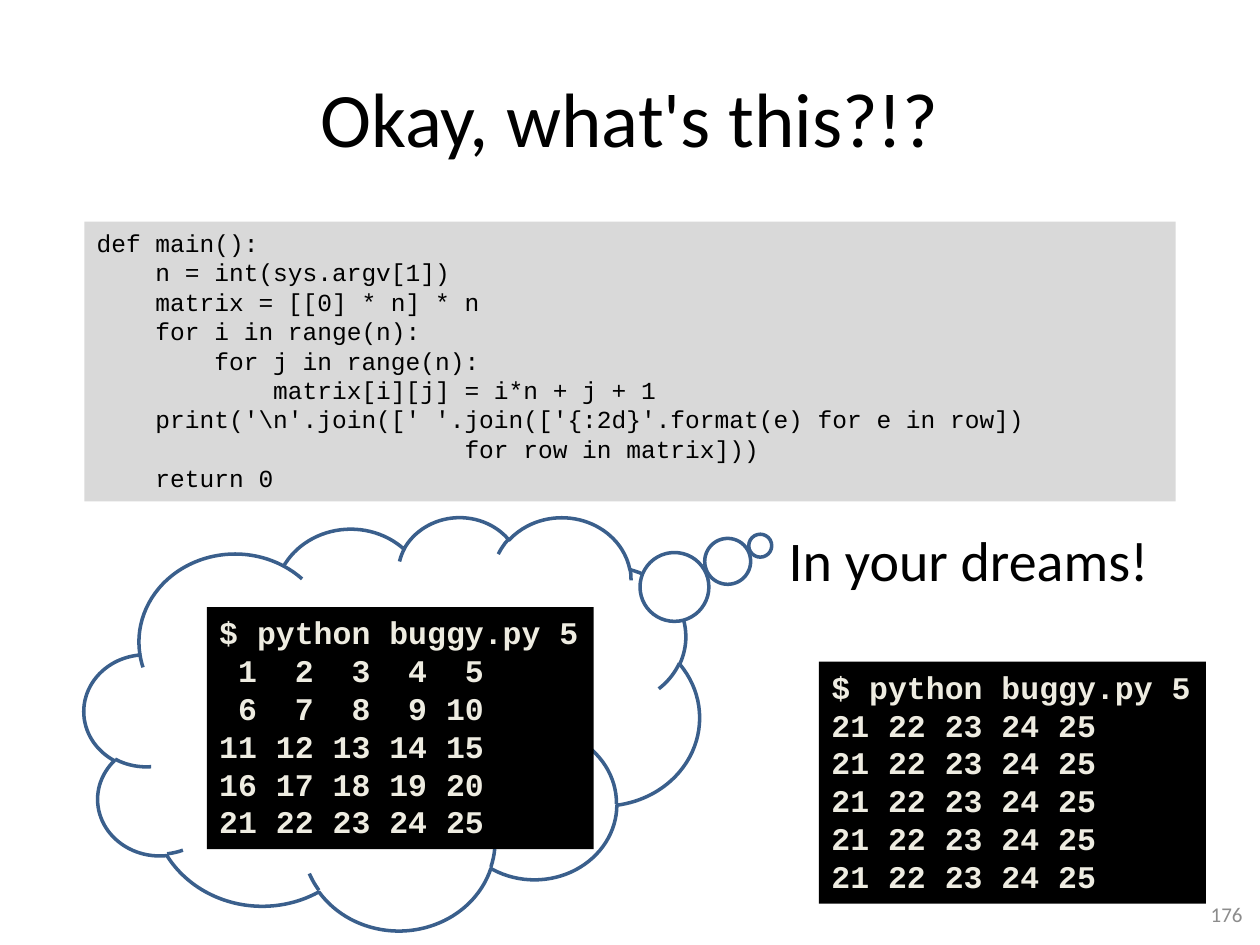
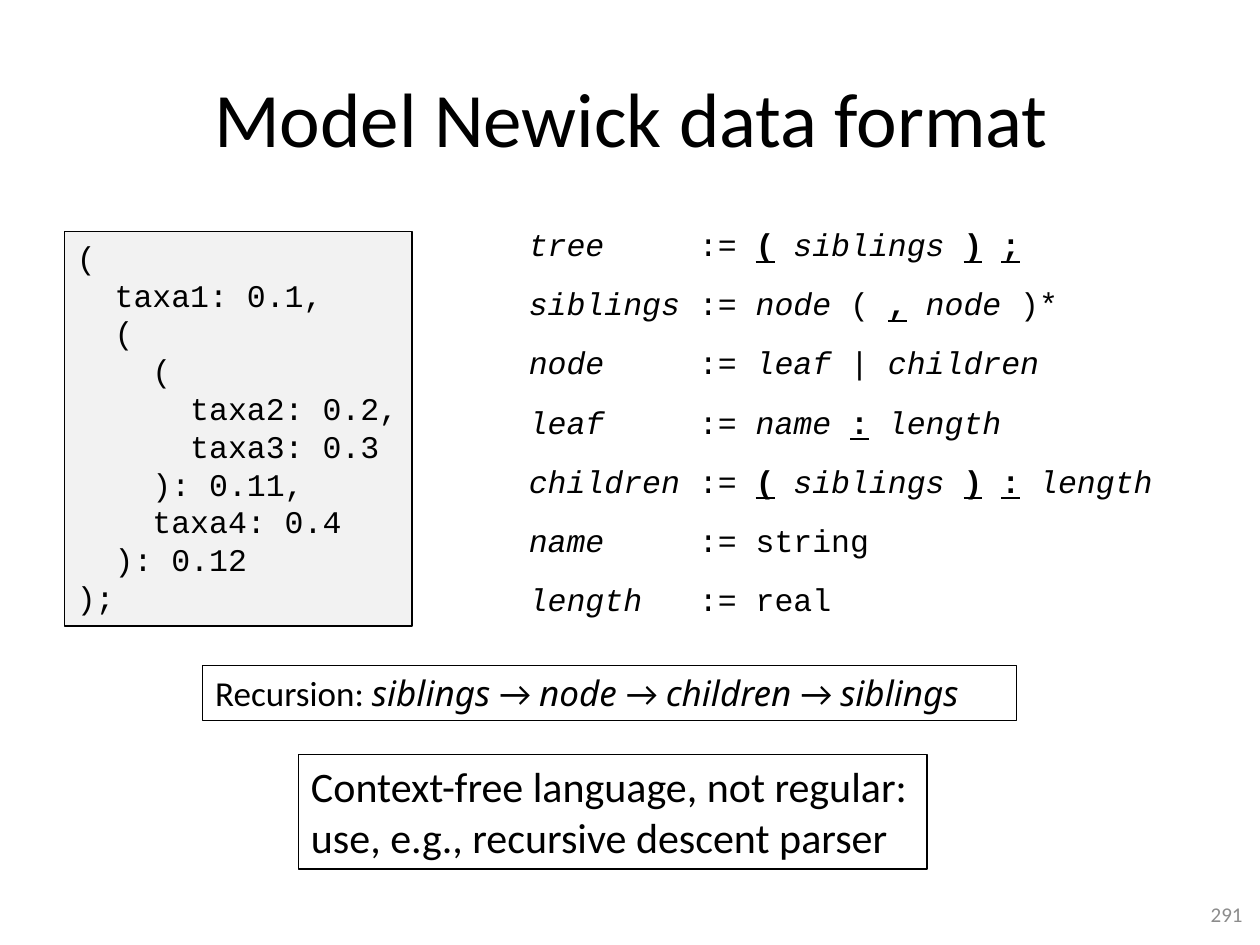
"""Build two teaching slides: a buggy matrix program and the Newick grammar."""
from lxml.etree import Element, SubElement
from pptx import Presentation
from pptx.dml.color import RGBColor
from pptx.enum.shapes import MSO_SHAPE
from pptx.enum.text import MSO_ANCHOR, MSO_AUTO_SIZE, PP_ALIGN
from pptx.oxml.ns import qn
from pptx.util import Cm, Pt

COLORS = {"black": "000000", "white": "FFFFFF", "code": "D9D9D9", "data": "F2F2F2",
          "terminal": "EEECE1", "cloud": "3A5F8C", "number": "8C8C8C"}
RGB = {name: RGBColor.from_string(value) for name, value in COLORS.items()}
BODY, MONO, ITALIC = "Calibri", "Courier New", "Noto Sans"


def add_box(s, rect, lines, size, font=BODY, color="black", fill=None, line=None,
            bold=False, wrap=False):
    sp = s.shapes.add_shape(MSO_SHAPE.RECTANGLE, *map(Cm, rect))
    sp.shadow.inherit = False
    if fill:
        sp.fill.solid()
        sp.fill.fore_color.rgb = RGB[fill]
    else:
        sp.fill.background()
    if line:
        sp.line.color.rgb = RGB[line]
        sp.line.width = Pt(0.75)
    else:
        sp.line.fill.background()
    tf = sp.text_frame
    tf.word_wrap = wrap
    tf.auto_size = MSO_AUTO_SIZE.SHAPE_TO_FIT_TEXT
    tf.vertical_anchor = MSO_ANCHOR.TOP
    for i, text in enumerate(lines):
        p = tf.add_paragraph() if i else tf.paragraphs[0]
        p.text = text
        p.alignment = PP_ALIGN.LEFT
        p.font.name, p.font.size, p.font.bold = font, Pt(size), bold
        p.font.color.rgb = RGB[color]
    return sp


def add_runs(p, markup, italic_font):
    """Add words to a paragraph: _word is italic, *word is bold and underlined."""
    words = markup.split(" ")
    for i, word in enumerate(words):
        gap = " " if i < len(words) - 1 else ""
        r = p.add_run()
        if word[0] == "*":
            r.text = word[1:]
            r.font.bold = r.font.underline = True
            if gap:
                p.add_run().text = gap
        elif word[0] == "_":
            r.text = word[1:] + gap
            r.font.italic = True
            r.font.name = italic_font
        else:
            r.text = word + gap


prs = Presentation()
prs.slide_width, prs.slide_height = Cm(25.4), Cm(19.05)

slides = []
for title, left, number in (("Okay, what's this?!?", 1.27, "176"),
                            ("Model Newick data format", 1.3, "291")):
    s = prs.slides.add_slide(prs.slide_layouts[5])
    sp = s.shapes.title
    sp.left, sp.top, sp.width, sp.height = Cm(left), Cm(0.76), Cm(22.86), Cm(3.18)
    tf = sp.text_frame
    tf.text = title
    tf.vertical_anchor = MSO_ANCHOR.MIDDLE
    p = tf.paragraphs[0]
    p.alignment = PP_ALIGN.CENTER
    p.font.name, p.font.size = BODY, Pt(44)
    p.font.color.rgb = RGB["black"]
    tf = add_box(s, (19.38, 17.91, 5.92, 1.02), [number], 12, color="number",
                 wrap=True).text_frame
    tf.auto_size = MSO_AUTO_SIZE.NONE
    tf.vertical_anchor = MSO_ANCHOR.MIDDLE
    tf.paragraphs[0].alignment = PP_ALIGN.RIGHT
    slides.append(s)

s = slides[0]
cloud = s.shapes.add_shape(MSO_SHAPE.CLOUD_CALLOUT, Cm(1.7), Cm(10.41), Cm(12.4), Cm(8.33))
cloud.adjustments[0], cloud.adjustments[1] = 0.599, -0.429
cloud.shadow.inherit = False
cloud.fill.solid()
cloud.fill.fore_color.rgb = RGB["white"]
cloud.line.color.rgb = RGB["cloud"]
cloud.line.width = Pt(2)
dreams = add_box(s, (15.65, 10.46, 7.85, 1.63), ["In your dreams!"], 32)
s.shapes.add_group_shape([cloud, dreams])

program = [
    "def main():",
    "    n = int(sys.argv[1])",
    "    matrix = [[0] * n] * n",
    "    for i in range(n):",
    "        for j in range(n):",
    "            matrix[i][j] = i*n + j + 1",
    "    print('\\n'.join([' '.join(['{:2d}'.format(e) for e in row])\v"
    "                         for row in matrix]))",
    "    return 0",
]
add_box(s, (1.7, 4.47, 22, 5.64), program, 14, MONO, fill="code", wrap=True)

expected = [" ".join(f"{5 * i + j + 1:2d}" for j in range(5)) for i in range(5)]
actual = expected[-1:] * 5
for left, top, output in ((4.17, 12.24, expected), (16.51, 13.34, actual)):
    add_box(s, (left, top, 7.8, 4.88), ["$ python buggy.py 5"] + output, 18, MONO,
            color="terminal", fill="black", bold=True)

s = slides[1]
newick = [
    "(",
    "  taxa1: 0.1,",
    "  (",
    "    (",
    "      taxa2: 0.2,",
    "      taxa3: 0.3",
    "    ): 0.11,",
    "    taxa4: 0.4",
    "  ): 0.12",
    ");",
]
add_box(s, (1.3, 4.67, 7.01, 7.95), newick, 18, MONO, fill="data", line="black")

grammar = [
    ("tree", ":= *( _siblings *) *;"),
    ("siblings", ":= _node ( *, _node )*"),
    ("node", ":= _leaf | _children"),
    ("leaf", ":= _name *: _length"),
    ("children", ":= *( _siblings *) *: _length"),
    ("name", ":= string"),
    ("length", ":= real"),
]
for i, (name, rule) in enumerate(grammar):
    marks = sum(word[0] in "_*" for word in rule.split())
    width = 0.51 + 0.39 * (9 + len(rule) - marks)
    tf = add_box(s, (10.41, 4.42 + 1.19 * i, width, 1.02), [""], 18, MONO).text_frame
    p = tf.paragraphs[0]
    tabs = Element(qn("a:tabLst"))
    SubElement(tabs, qn("a:tab"), pos=str(Cm(3.43)), algn="l")
    p._p.get_or_add_pPr().insert(0, tabs)
    add_runs(p, f"_{name}\t", MONO)
    add_runs(p, rule, MONO)

tf = add_box(s, (4.09, 13.41, 16.41, 1.12), [""], 20, line="black", wrap=True).text_frame
add_runs(tf.paragraphs[0], "Recursion: _siblings → _node → _children → _siblings", ITALIC)
add_box(s, (6.02, 15.21, 12.67, 2.31),
        ["Context-free language, not regular:\vuse, e.g., recursive descent parser"],
        24, line="black")

prs.save("out.pptx")
